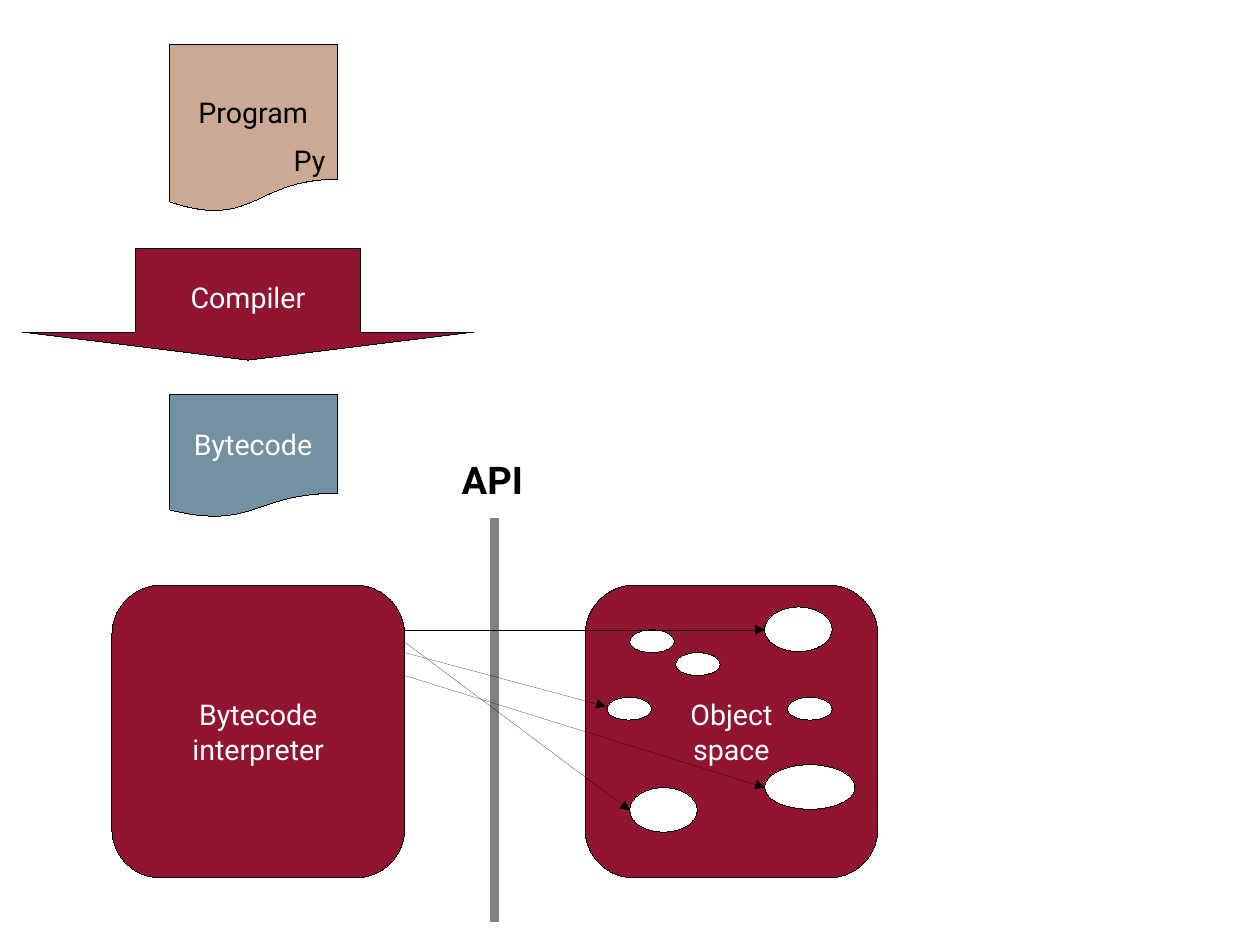
from dataclasses import dataclass

import pptx
import pptx.dml.color
import pptx.enum.shapes
import pptx.enum.text
import pptx.oxml
import pptx.oxml.ns
import pptx.util

Inches = pptx.util.Inches
MSO = pptx.enum.shapes.MSO_SHAPE
ALIGN = pptx.enum.text.PP_ALIGN
ANCHOR = pptx.enum.text.MSO_ANCHOR
AUTO = pptx.enum.text.MSO_AUTO_SIZE
CM_PER_INCH = 2.54


@dataclass(frozen=True)
class Theme:
    font: str = "Roboto"
    body: float = 18
    heading: float = 24
    hairline: float = 0
    bar: float = 5.67
    black: str = "000000"
    white: str = "FFFFFF"
    tan: str = "CCA995"
    slate: str = "7491A1"
    crimson: str = "911531"
    gray: str = "808080"


T = Theme()


@dataclass(frozen=True)
class Box:
    kind: MSO
    at: tuple[float, float, float, float]
    fill: str
    text: str = ""
    color: str = T.white
    adj: tuple[float, ...] = ()


@dataclass(frozen=True)
class Label:
    at: tuple[float, float, float, float]
    text: str
    size: float = T.body
    bold: bool = False
    wrap: bool = True


@dataclass(frozen=True)
class Line:
    start: tuple[float, float]
    end: tuple[float, float]
    color: str = T.black
    width: float = T.hairline
    arrow: bool = True


# Compilation pipeline and the two runtime halves
PROGRAM = Box(MSO.FLOWCHART_DOCUMENT, (1.48, 0.39, 1.47, 1.47), T.tan, "Program", T.black)
STAGES = [
    Box(MSO.FLOWCHART_DOCUMENT, (1.48, 3.45, 1.47, 1.08), T.slate, "Bytecode"),
    Box(MSO.DOWN_ARROW, (0.2, 2.17, 3.94, 0.98), T.crimson, "Compiler", adj=(0.5, 0.25)),
] + [
    Box(MSO.ROUNDED_RECTANGLE, (x, 5.12, 2.56, 2.56), T.crimson, text, adj=(0.167,))
    for x, text in ((0.98, "Bytecode\ninterpreter"), (5.12, "Object\nspace"))
]

# Objects living in the object space
SMALL, MEDIUM, LARGE = (0.39, 0.2), (0.59, 0.39), (0.79, 0.39)
OBJECTS = [
    Box(MSO.OVAL, (x, y, *size), T.white)
    for x, y, size in (
        (5.51, 5.51, SMALL), (6.69, 5.31, MEDIUM), (5.91, 5.71, SMALL),
        (5.31, 6.1, SMALL), (6.69, 6.69, LARGE), (6.89, 6.1, SMALL),
        (5.51, 6.89, MEDIUM),
    )
]

# API boundary and the calls that cross it
LINES = [
    Line((4.33, 4.53), (4.33, 8.07), T.gray, T.bar, arrow=False),
    Line((3.53, 5.61), (5.51, 7.09)),
    Line((3.54, 5.71), (5.3, 6.18)),
    Line((3.54, 5.51), (6.69, 5.51)),
    Line((3.54, 5.91), (6.69, 6.89)),
]

PY_LABEL = Label((2.47, 1.2, 0.79, 0.39), "Py")
API_LABEL = Label((3.94, 3.94, 0.82, 0.49), "API", T.heading, bold=True, wrap=False)


def rgb(value: str) -> pptx.dml.color.RGBColor:
    return pptx.dml.color.RGBColor.from_string(value)


def apply(target: object, values: dict[str, object]) -> None:
    for name, value in values.items():
        setattr(target, name, value)


def write(tf, text: str, align: ALIGN, color: str, size: float = T.body,
          bold: bool = False) -> None:
    for i, words in enumerate(text.split("\n")):
        p = tf.add_paragraph() if i else tf.paragraphs[0]
        p.alignment = align
        r = p.add_run()
        r.text = words
        apply(r.font, {"name": T.font, "size": pptx.util.Pt(size), "bold": bold})
        r.font.color.rgb = rgb(color)


def set_line(sp, color: str, width: float):
    """Write the width explicitly, since a zero width is otherwise dropped."""
    sp.line.color.rgb = rgb(color)
    ln = sp._element.spPr.find(pptx.oxml.ns.qn("a:ln"))
    ln.set("w", str(int(pptx.util.Pt(width))))
    return ln


def add_box(s, box: Box) -> None:
    sp = s.shapes.add_shape(box.kind, *map(Inches, box.at))
    sp.shadow.inherit = False
    for i, value in enumerate(box.adj):
        sp.adjustments[i] = value
    sp.fill.solid()
    sp.fill.fore_color.rgb = rgb(box.fill)
    set_line(sp, T.black, T.hairline)
    if box.text:
        apply(sp.text_frame, {"vertical_anchor": ANCHOR.MIDDLE, "word_wrap": True})
        write(sp.text_frame, box.text, ALIGN.CENTER, box.color)


def add_label(s, label: Label) -> None:
    tf = s.shapes.add_textbox(*map(Inches, label.at)).text_frame
    apply(tf, {"word_wrap": label.wrap, "auto_size": AUTO.SHAPE_TO_FIT_TEXT})
    write(tf, label.text, ALIGN.LEFT, T.black, label.size, label.bold)


def add_line(s, line: Line) -> None:
    cn = s.shapes.add_connector(pptx.enum.shapes.MSO_CONNECTOR.STRAIGHT,
                                *map(Inches, line.start + line.end))
    ln = set_line(cn, line.color, line.width)
    ns = pptx.oxml.ns.nsdecls("a")
    if line.arrow:
        ln.append(pptx.oxml.parse_xml(f'<a:tailEnd {ns} type="triangle"/>'))
    cn._element.spPr.append(pptx.oxml.parse_xml(f"<a:effectLst {ns}/>"))


def main() -> None:
    prs = pptx.Presentation()
    # Page of 28 by 21 cm
    prs.slide_width = Inches(28 / CM_PER_INCH)
    prs.slide_height = Inches(21 / CM_PER_INCH)
    s = prs.slides.add_slide(prs.slide_layouts[6])
    add_box(s, PROGRAM)
    add_label(s, PY_LABEL)
    for box in STAGES + OBJECTS:
        add_box(s, box)
    for line in LINES:
        add_line(s, line)
    add_label(s, API_LABEL)
    prs.save("out.pptx")


if __name__ == "__main__":
    main()
